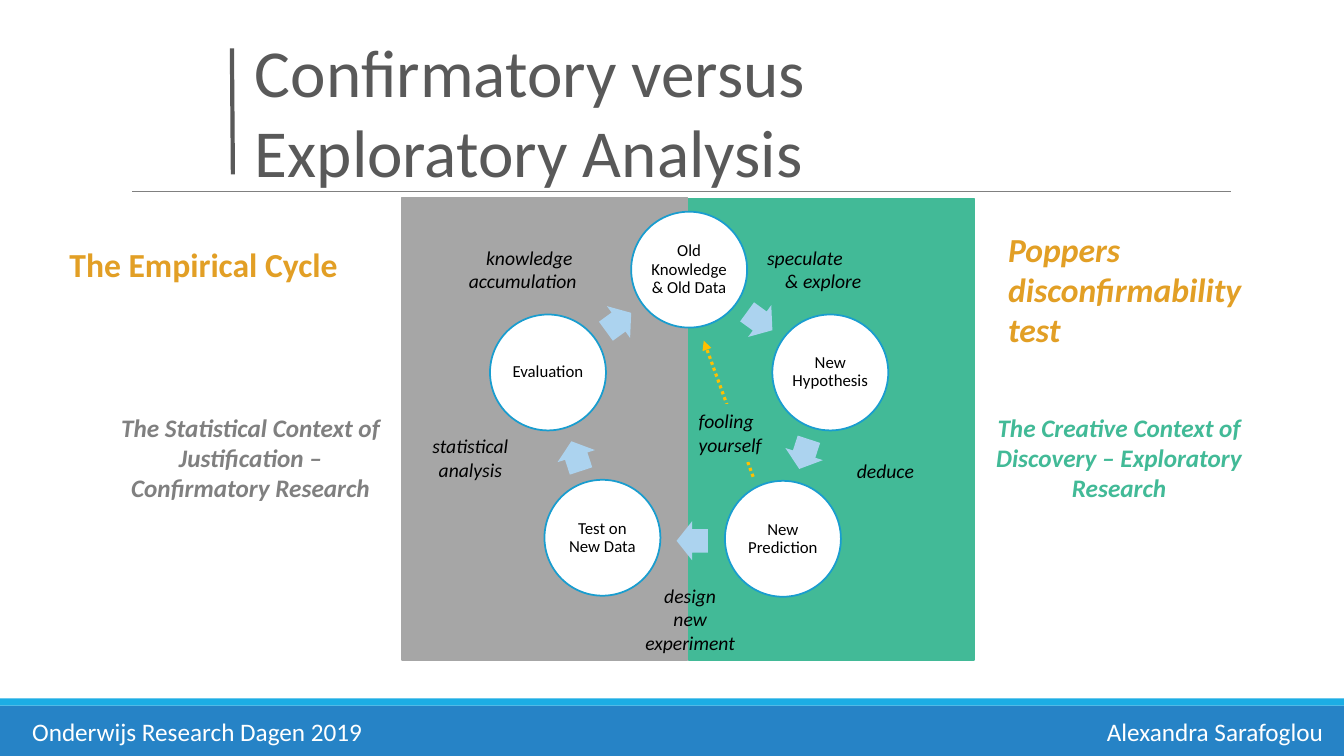
from dataclasses import dataclass

from lxml import etree
from pptx import Presentation
from pptx.dml.color import RGBColor
from pptx.enum.dml import MSO_LINE
from pptx.enum.shapes import MSO_CONNECTOR, MSO_SHAPE
from pptx.enum.text import MSO_ANCHOR, PP_ALIGN
from pptx.oxml.ns import qn
from pptx.util import Emu, Pt

PX = 9144  # 100 px to the inch
RECT, OVAL, ARROW = MSO_SHAPE.RECTANGLE, MSO_SHAPE.OVAL, MSO_SHAPE.RIGHT_ARROW
STRAIGHT, DOTTED = MSO_CONNECTOR.STRAIGHT, MSO_LINE.ROUND_DOT
LEFT, MID, RIGHT = PP_ALIGN.LEFT, PP_ALIGN.CENTER, PP_ALIGN.RIGHT
CENTRED = MSO_ANCHOR.MIDDLE
FONT = "Calibri"
BLACK, WHITE, GREY, GREEN = "000000", "FFFFFF", "A6A6A6", "42BA97"
GOLD, DARK, RIM, PALE = "E29F25", "595959", "199DCF", "ACD3EF"
DISC, WIDE, HIGH = 115, 31, 39


@dataclass
class Block:
    x: int
    y: int
    w: int
    h: int
    fill: str
    edge: str = ""


@dataclass
class Rule:
    x1: int
    y1: int
    x2: int
    y2: int
    color: str
    width: float
    flow: bool = False


@dataclass
class Label:
    x: int
    y: int
    w: int
    h: int
    text: str
    size: int = 14
    color: str = BLACK
    bold: bool = False
    slant: bool = True
    align: PP_ALIGN = LEFT
    indent: int = 0
    fill: str = ""


@dataclass
class Node:
    x: int
    y: int
    text: str


BLOCKS = [
    Block(0, 700, 1333, 50, "2683C6"),
    Block(0, 693, 1333, 7, "1CADE4"),
    Block(399, 196, 283, 459, GREY, GREY),
    Block(683, 197, 283, 458, GREEN, GREEN),
]
RULES = [
    Rule(131, 190, 1221, 190, "808080", 0.5),
    Rule(230, 48, 231, 173, DARK, 3),
    Rule(747, 473, 698, 338, "FFC000", 2.25, flow=True),
]
LABELS = [
    Label(243, 25, 612, 172, "Confirmatory versus\nExploratory Analysis", 48, DARK, slant=False),
    Label(59, 237, 369, 50, "The Empirical Cycle", 24, GOLD, bold=True, slant=False),
    Label(990, 222, 273, 131, "Poppers\ndisconfirmability\ntest", 24, GOLD, bold=True),
    Label(107, 404, 283, 101,
          "The Statistical Context of Justification – Confirmatory Research",
          18, "808080", bold=True, align=MID),
    Label(968, 404, 284, 101,
          "The Creative Context of Discovery – Exploratory Research",
          18, GREEN, bold=True, align=MID),
    Label(751, 239, 206, 57, "speculate\n& explore", indent=18),
    Label(840, 450, 206, 34, "deduce"),
    Label(622, 574, 125, 81, "design\nnew\nexperiment", align=MID),
    Label(404, 426, 125, 57, "statistical analysis", align=MID),
    Label(444, 239, 149, 57, "knowledge accumulation", align=MID, indent=13),
    Label(683, 401, 93, 57, "fooling\nyourself", fill=GREEN),
    Label(22, 706, 351, 40, "Onderwijs Research Dagen 2019", 18, WHITE, slant=False),
    Label(971, 706, 351, 40, "Alexandra Sarafoglou", 18, WHITE, slant=False, align=RIGHT),
]
# Clockwise from the top
NODES = [
    Node(626, 210, "Old Knowledge & Old Data"),
    Node(766, 312, "New Hypothesis"),
    Node(719, 477, "New Prediction"),
    Node(540, 476, "Test on New Data"),
    Node(486, 312, "Evaluation"),
]
ARROWS = [(738, 299), (782, 431), (671, 517), (556, 433), (598, 300)]


def px(n: int) -> Emu:
    return Emu(n * PX)


def rgb(color: str) -> RGBColor:
    return RGBColor.from_string(color)


def draw_shape(slide, kind, block: Block):
    shape = slide.shapes.add_shape(kind, px(block.x), px(block.y), px(block.w), px(block.h))
    shape.shadow.inherit = False
    shape.fill.solid()
    shape.fill.fore_color.rgb = rgb(block.fill)
    if block.edge:
        shape.line.color.rgb = rgb(block.edge)
        shape.line.width = Pt(1.25)
    else:
        shape.line.fill.background()
    return shape


def draw_rule(slide, rule: Rule) -> None:
    line = slide.shapes.add_connector(
        STRAIGHT, px(rule.x1), px(rule.y1), px(rule.x2), px(rule.y2))
    line.line.color.rgb = rgb(rule.color)
    line.line.width = Pt(rule.width)
    props = line._element.spPr
    if rule.flow:
        line.line.dash_style = DOTTED
        etree.SubElement(props.find(qn("a:ln")), qn("a:tailEnd"), type="triangle")
    etree.SubElement(props, qn("a:effectLst"))


def draw_label(slide, label: Label) -> None:
    box = slide.shapes.add_textbox(px(label.x), px(label.y), px(label.w), px(label.h))
    if label.fill:
        box.fill.solid()
        box.fill.fore_color.rgb = rgb(label.fill)
    frame = box.text_frame
    frame.word_wrap = True
    frame.text = label.text
    for para in frame.paragraphs:
        para.alignment = label.align
        font = para.font
        font.name, font.size = FONT, Pt(label.size)
        font.bold, font.italic = label.bold, label.slant
        font.color.rgb = rgb(label.color)
    if label.indent:
        props = frame.paragraphs[-1]._p.get_or_add_pPr()
        props.set("marL", "0")
        props.set("indent", str(px(label.indent)))


def draw_node(slide, node: Node) -> None:
    disc = draw_shape(slide, OVAL, Block(node.x, node.y, DISC, DISC, WHITE, RIM))
    frame = disc.text_frame
    frame.word_wrap = True
    frame.vertical_anchor = CENTRED
    frame.margin_left = frame.margin_right = px(2)
    frame.margin_top = frame.margin_bottom = px(2)
    frame.text = node.text
    para = frame.paragraphs[0]
    para.alignment = MID
    para.line_spacing = 0.9
    para.font.name, para.font.size = FONT, Pt(12)
    para.font.color.rgb = rgb(BLACK)


def draw_arrow(slide, x: int, y: int, turn: int) -> None:
    arrow = draw_shape(slide, ARROW, Block(x, y, WIDE, HIGH, PALE))
    arrow.adjustments[0] = 0.6
    arrow.adjustments[1] = 0.5
    arrow.rotation = turn


def main() -> None:
    deck = Presentation()
    deck.slide_width, deck.slide_height = px(1333), px(750)
    slide = deck.slides.add_slide(deck.slide_layouts[6])
    for block in BLOCKS:
        draw_shape(slide, RECT, block)
    for rule in RULES:
        draw_rule(slide, rule)
    for label in LABELS:
        draw_label(slide, label)
    for i, (node, (x, y)) in enumerate(zip(NODES, ARROWS)):
        draw_node(slide, node)
        draw_arrow(slide, x, y, 36 + 72 * i)
    deck.save("out.pptx")


if __name__ == "__main__":
    main()
